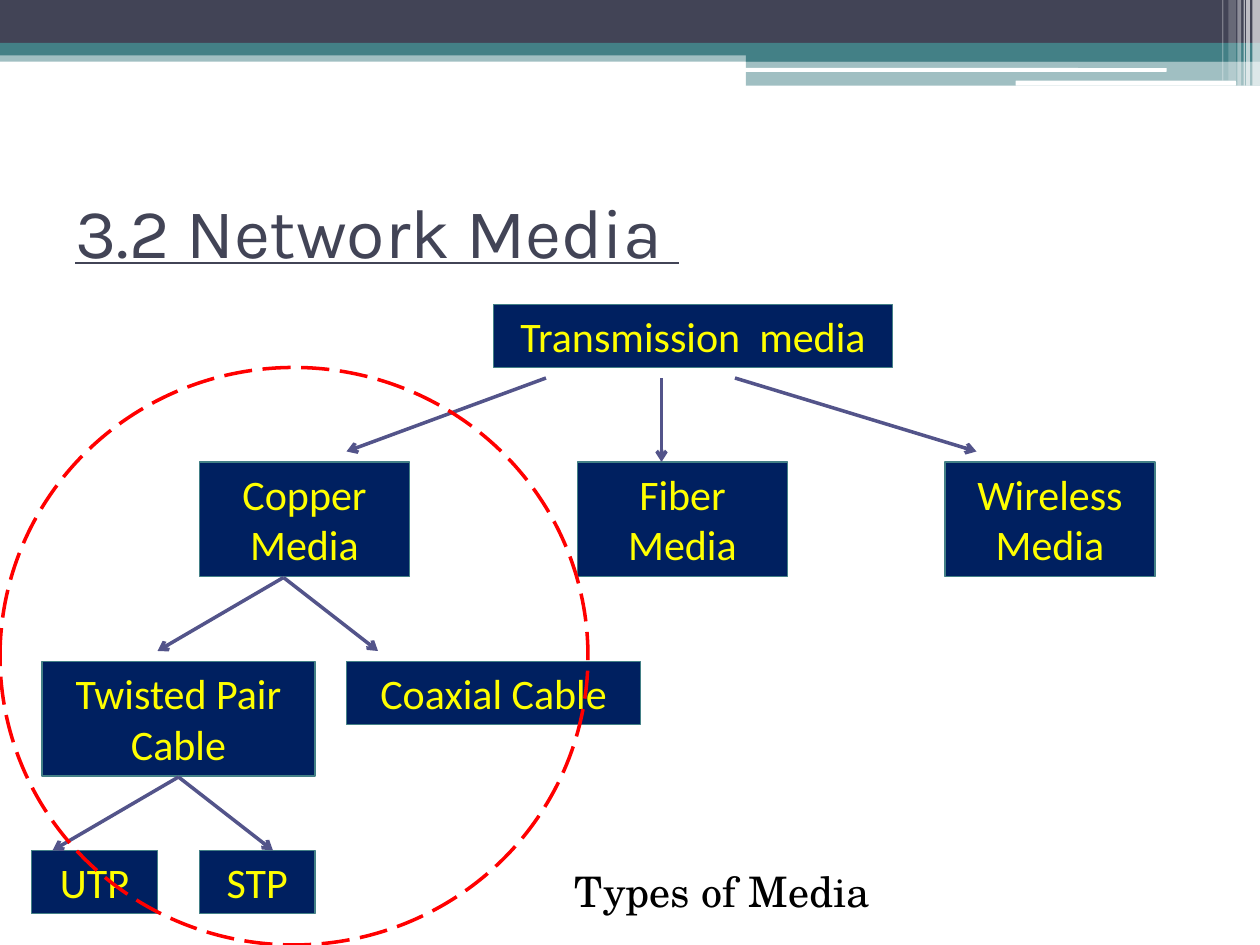
from dataclasses import dataclass
from lxml.etree import SubElement
from pptx import Presentation
from pptx.dml.color import RGBColor
from pptx.enum.dml import MSO_LINE
from pptx.enum.shapes import MSO_CONNECTOR, MSO_SHAPE
from pptx.enum.text import MSO_ANCHOR, PP_ALIGN
from pptx.oxml.ns import qn
from pptx.util import Inches, Pt


@dataclass(frozen=True)
class Theme:
    dark: str = "424456"
    teal: str = "438086"
    white: str = "FFFFFF"
    navy: str = "002060"
    yellow: str = "FFFF00"
    arrow: str = "53548A"
    red: str = "FF0000"
    black: str = "000000"
    title_font: str = "Karla"
    box_font: str = "Calibri"
    caption_font: str = "TeX Gyre Schola"
    title_size: int = 40
    body_size: int = 24


T = Theme()
prs = Presentation()
prs.slide_width, prs.slide_height = Inches(10), Inches(7.5)
s = prs.slides.add_slide(prs.slide_layouts[6])
CELL = prs.slide_width / 120
FINE = prs.slide_width / 1000


def add_shape(kind, cells, unit, fill=None, alpha=100):
    sp = s.shapes.add_shape(kind, *(round(v * unit) for v in cells))
    sp.shadow.inherit = False
    sp.line.fill.background()
    if fill is None:
        sp.fill.background()
    else:
        sp.fill.solid()
        sp.fill.fore_color.rgb = RGBColor.from_string(fill)
        if alpha < 100:
            clr = sp.fill._xPr.find(qn("a:solidFill"))[0]
            SubElement(clr, qn("a:alpha"), val=str(alpha * 1000))
    return sp


def add_text(sp, text, font, size, color, align=PP_ALIGN.LEFT):
    p = sp.text_frame.paragraphs[0]
    p.alignment = align
    r = p.add_run()
    r.text = text
    r.font.name, r.font.size = font, Pt(size)
    r.font.color.rgb = RGBColor.from_string(color)
    return r


bands = [
    ((0, 40, 1000, 9), T.teal, 50),
    ((0, 0, 1000, 34), T.dark, 100),
    ((0, 34, 1000, 10), T.teal, 100),
    ((592, 39, 408, 10), T.teal, 100),
    ((592, 48, 408, 20), T.teal, 50),
]
for cells, fill, alpha in bands:
    add_shape(MSO_SHAPE.RECTANGLE, cells, FINE, fill, alpha)

for cells in [(591, 54, 335, 3), (806, 64, 175, 4)]:
    add_shape(MSO_SHAPE.ROUNDED_RECTANGLE, cells, FINE, T.white)

stripes = [(994, 6, 68, 65), (989, 3, 68, 65), (987, 1, 68, 60),
           (982, 3, 68, 40), (975, 6, 64, 20), (970, 1, 64, 30)]
for x, w, h, alpha in stripes:
    add_shape(MSO_SHAPE.RECTANGLE, (x, 0, w, h), FINE, T.white, alpha)

title = s.shapes.add_textbox(*(round(v * CELL) for v in (6, 15, 108, 14)))
title.text_frame.word_wrap = True
title.text_frame.vertical_anchor = MSO_ANCHOR.MIDDLE
r = add_text(title, "3.2 Network Media ", T.title_font, T.title_size, T.dark)
r.font.underline = True

ONE_LINE, TWO_LINES = 6, 10.9
boxes = [
    ("Transmission  media", 47, 29, 38, ONE_LINE),
    ("Twisted Pair Cable", 4, 63, 26, TWO_LINES),
    ("Coaxial Cable", 33, 63, 28, ONE_LINE),
    ("Wireless Media", 90, 44, 20, TWO_LINES),
    ("UTP", 3, 81, 12, ONE_LINE),
    ("STP", 19, 81, 11, ONE_LINE),
    ("Copper Media", 19, 44, 20, TWO_LINES),
    ("Fiber Media", 55, 44, 20, TWO_LINES),
]
for text, x, y, w, h in boxes:
    sp = add_shape(MSO_SHAPE.RECTANGLE, (x, y, w, h), CELL, T.navy)
    sp.line.color.rgb = RGBColor.from_string(T.teal)
    sp.line.width = Pt(0.75)
    sp.text_frame.word_wrap = True
    sp.text_frame.vertical_anchor = MSO_ANCHOR.TOP
    add_text(sp, text, T.box_font, T.body_size, T.yellow, PP_ALIGN.CENTER)

arrows = [
    (52, 36, 33, 43), (63, 36, 63, 44), (70, 36, 93, 43),
    (27, 55, 15, 62), (27, 55, 36, 62),
    (17, 74, 5, 81), (17, 74, 26, 81),
]
for ends in arrows:
    ln = s.shapes.add_connector(MSO_CONNECTOR.STRAIGHT, *(round(v * CELL) for v in ends))
    ln.line.color.rgb = RGBColor.from_string(T.arrow)
    ln.line.width = Pt(2)
    SubElement(ln.line._get_or_add_ln(), qn("a:tailEnd"), type="arrow")
    SubElement(ln._element.spPr, qn("a:effectLst"))

ring = add_shape(MSO_SHAPE.OVAL, (0, 35, 56, 55), CELL)
ring.line.color.rgb = RGBColor.from_string(T.red)
ring.line.width = Pt(2)
ring.line.dash_style = MSO_LINE.LONG_DASH

caption = s.shapes.add_textbox(*(round(v * CELL) for v in (53.5, 81.8, 30.6, 6)))
caption.text_frame.word_wrap = False
add_text(caption, "Types of Media", T.caption_font, T.body_size, T.black)

prs.save("out.pptx")
